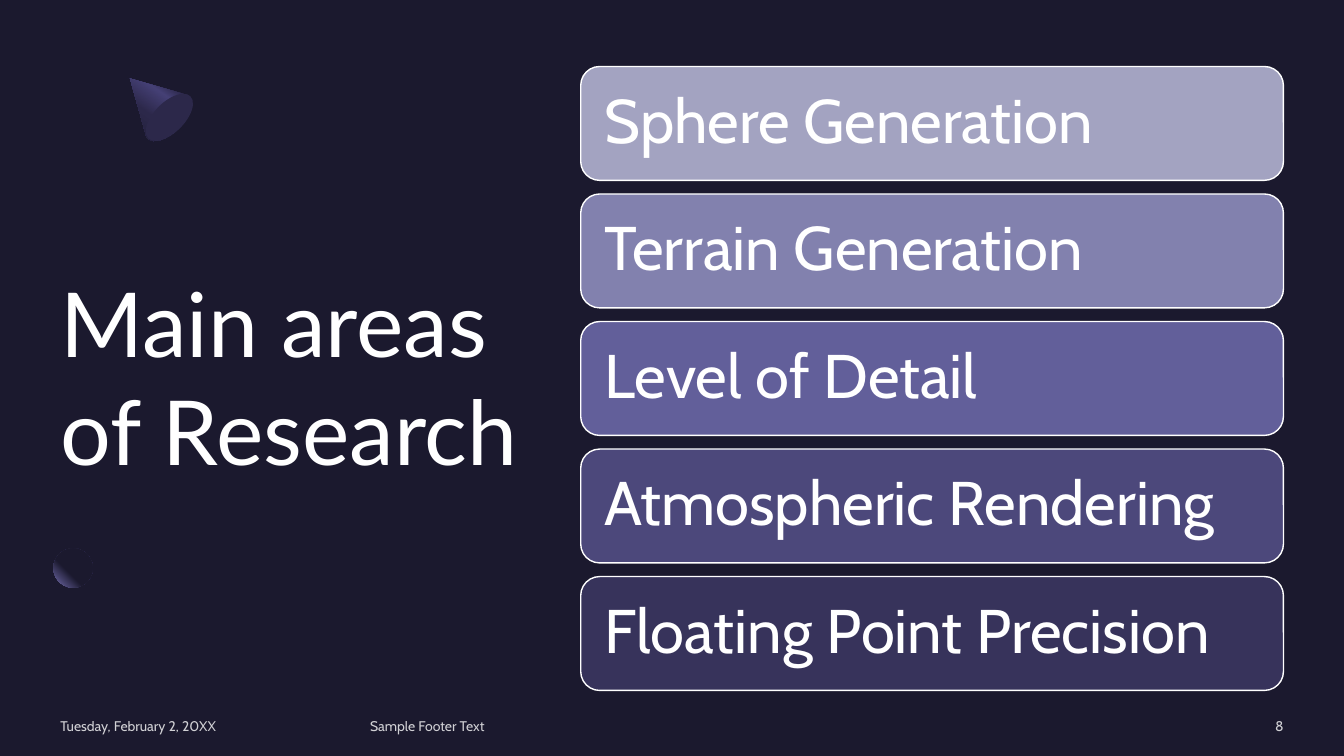
from math import cos, radians, sin

from lxml import etree
from pptx import Presentation
from pptx.dml.color import RGBColor
from pptx.enum.shapes import MSO_SHAPE as Preset
from pptx.enum.text import MSO_ANCHOR as Anchor, MSO_AUTO_SIZE as AutoSize, PP_ALIGN as Align
from pptx.oxml import parse_xml
from pptx.oxml.ns import nsdecls, qn
from pptx.util import Inches, Pt

NIGHT = RGBColor(0x1B, 0x19, 0x2E)
DUSK = RGBColor(0x2C, 0x28, 0x4A)
VIOLET = RGBColor(0x45, 0x40, 0x75)
LILAC = RGBColor(0x77, 0x71, 0xB2)
WHITE = RGBColor(0xFF, 0xFF, 0xFF)

TITLE = "Main areas of Research"
AREAS = [
    ("Sphere Generation", RGBColor(0xA3, 0xA3, 0xC1)),
    ("Terrain Generation", RGBColor(0x82, 0x81, 0xAE)),
    ("Level of Detail", RGBColor(0x62, 0x5F, 0x9A)),
    ("Atmospheric Rendering", RGBColor(0x4C, 0x48, 0x7B)),
    ("Floating Point Precision", RGBColor(0x37, 0x33, 0x5B)),
]
FOOTERS = [
    ("Tuesday, February 2, 20XX", 0.6, 2.88, Align.LEFT),
    ("Sample Footer Text", 3.67, 6.98, Align.LEFT),
    ("8", 10.88, 1.85, Align.RIGHT),
]
CONE = [
    [(1.29, 0.78)], [(1.85, 0.94)], [(1.86, 0.94)],
    [(1.87, 0.95), (1.88, 0.95), (1.88, 0.96)],
    [(1.94, 1.02), (1.89, 1.16), (1.78, 1.27)],
    [(1.66, 1.39), (1.52, 1.43), (1.47, 1.38)],
    [(1.46, 1.37), (1.45, 1.36), (1.45, 1.35)],
]
RING_SHADE = [
    [(4.85, 6.16)], [(5.11, 6.16), (5.37, 6.26), (5.57, 6.46)], [(5.21, 6.81)],
    [(5.01, 6.62), (4.69, 6.62), (4.49, 6.81)],
    [(4.32, 6.99), (4.3, 7.25), (4.43, 7.45)], [(4.47, 7.5)], [(3.89, 7.5)], [(3.88, 7.46)],
    [(3.78, 7.12), (3.86, 6.73), (4.13, 6.46)], [(4.33, 6.26), (4.59, 6.16), (4.85, 6.16)],
]
RING_GLOW = [
    [(4.8, 6.21)], [(5.11, 6.19), (5.43, 6.32), (5.68, 6.57)], [(5.33, 6.93)],
    [(5.1, 6.7), (4.76, 6.68), (4.56, 6.88)],
    [(4.42, 7.03), (4.39, 7.26), (4.48, 7.46)], [(4.5, 7.5)], [(3.94, 7.5)], [(3.92, 7.43)],
    [(3.84, 7.08), (3.91, 6.72), (4.16, 6.48)], [(4.33, 6.3), (4.56, 6.21), (4.8, 6.21)],
]

BAR_LEFT, BAR_TOP, BAR_WIDTH, BAR_HEIGHT = 5.76, 0.66, 6.97, 1.13
BAR_STEP = 1.265
TILT = 45
CURVE_STEPS = 8
SOFT_RADIUS = Pt(20)
LINEAR = '<a:lin ang="10200000" scaled="0"/>'
CORNER = '<a:path path="circle"><a:fillToRect l="100000" b="100000"/></a:path>'


def set_gradient(shape, stops, direction):
    """Fill a shape with (percent, colour) stops."""
    marks = "".join(
        f'<a:gs pos="{percent * 1000}"><a:srgbClr val="{colour}"/></a:gs>'
        for percent, colour in stops)
    shape.fill.background()
    blank = shape.element.spPr.find(qn("a:noFill"))
    blank.getparent().replace(blank, parse_xml(
        f'<a:gradFill {nsdecls("a")} rotWithShape="1"><a:gsLst>{marks}</a:gsLst>'
        f'{direction}</a:gradFill>'))


def set_solid(shape, colour):
    """Fill a shape with one colour."""
    shape.fill.solid()
    shape.fill.fore_color.rgb = colour


def set_alpha(shape, percent):
    """Make the first colour of a shape partly transparent."""
    colour = shape.element.find(".//" + qn("a:srgbClr"))
    etree.SubElement(colour, qn("a:alpha"), val=str(percent * 1000))


def make_plain(shape):
    """Remove the shadow and the outline."""
    shape.shadow.inherit = False
    shape.line.fill.background()
    return shape


def add_preset(page, preset, place):
    """Add a plain preset shape."""
    return make_plain(page.shapes.add_shape(preset, *map(Inches, place)))


def flatten(outline):
    """Turn line and curve segments into points."""
    points = list(outline[0])
    for segment in outline[1:]:
        if len(segment) == 1:
            points += segment
            continue
        corners = [points[-1], *segment]
        for step in range(1, CURVE_STEPS + 1):
            t = step / CURVE_STEPS
            weights = ((1 - t) ** 3, 3 * t * (1 - t) ** 2, 3 * t * t * (1 - t), t ** 3)
            points.append(tuple(
                sum(weight * corner[axis] for weight, corner in zip(weights, corners))
                for axis in (0, 1)))
    return points


def add_tilted(page, outline, centre):
    """Add an outline as a freeform turned back by the tilt."""
    c, s = cos(radians(TILT)), sin(radians(TILT))
    x0, y0 = centre
    points = [(Inches(x0 + (x - x0) * c - (y - y0) * s),
               Inches(y0 + (x - x0) * s + (y - y0) * c)) for x, y in flatten(outline)]
    builder = page.shapes.build_freeform(*points[0])
    builder.add_line_segments(points[1:])
    shape = make_plain(builder.convert_to_shape())
    shape.rotation = 360 - TILT
    return shape


def write(shape, text, font, size, margin=0, align=Align.LEFT):
    """Set one white paragraph, centred vertically."""
    frame = shape.text_frame
    frame.text = text
    frame.word_wrap = True
    frame.auto_size = AutoSize.NONE
    frame.vertical_anchor = Anchor.MIDDLE
    frame.margin_left = frame.margin_right = Inches(margin)
    frame.margin_top = frame.margin_bottom = 0
    para = frame.paragraphs[0]
    para.alignment = align
    font_style = para.runs[0].font
    font_style.name = font
    font_style.size = Pt(size)
    font_style.color.rgb = WHITE
    return para


def add_decorations(page):
    """Draw the cone, the small sphere and the soft ring."""
    cone = add_tilted(page, CONE, (1.535, 1.025))
    set_gradient(cone, [(30, DUSK), (40, VIOLET), (60, DUSK), (100, NIGHT)], LINEAR)
    base = add_preset(page, Preset.OVAL, (1.53, 0.87, 0.3, 0.59))
    base.rotation = TILT
    set_solid(base, DUSK)

    sphere = add_preset(page, Preset.OVAL, (0.53, 5.44, 0.39, 0.39))
    set_gradient(sphere, [(60, NIGHT), (100, LILAC)], CORNER)

    set_solid(add_tilted(page, RING_SHADE, (4.53, 6.775)), NIGHT)
    glow = add_tilted(page, RING_GLOW, (4.615, 6.83))
    set_solid(glow, LILAC)
    set_alpha(glow, 40)
    effects = glow.element.spPr.find(qn("a:effectLst"))
    etree.SubElement(effects, qn("a:softEdge"), rad=str(SOFT_RADIUS))
    ring_end = add_preset(page, Preset.OVAL, (5.33, 6.38, 0.12, 0.51))
    ring_end.rotation = TILT
    set_solid(ring_end, NIGHT)


def add_areas(page):
    """Stack one rounded bar for each research area."""
    for row, (area, colour) in enumerate(AREAS):
        top = BAR_TOP + row * BAR_STEP
        bar = add_preset(page, Preset.ROUNDED_RECTANGLE, (BAR_LEFT, top, BAR_WIDTH, BAR_HEIGHT))
        set_solid(bar, colour)
        bar.line.color.rgb = WHITE
        bar.line.width = Pt(1)
        write(bar, area, "Cabin", 44, margin=0.18).line_spacing = 0.9


def add_footers(page):
    """Place the date, footer and page number in faded white."""
    for text, left, width, align in FOOTERS:
        box = page.shapes.add_textbox(*map(Inches, (left, 7.12, width, 0.17)))
        write(box, text, "Cabin", 10, align=align)
        set_alpha(box, 80)


def main():
    """Build the research areas slide."""
    deck = Presentation()
    deck.slide_width, deck.slide_height = Inches(13.33), Inches(7.5)
    page = deck.slides.add_slide(deck.slide_layouts[5])
    set_solid(page.background, NIGHT)
    backdrop = add_preset(page, Preset.RECTANGLE, (0, 0, 13.33, 7.5))
    set_solid(backdrop, NIGHT)

    title = page.shapes.title
    backdrop.element.addnext(title.element)
    title.left, title.top, title.width, title.height = map(Inches, (0.6, 1.66, 4.96, 4.13))
    write(title, TITLE, "Lato", 64)
    add_decorations(page)
    add_areas(page)
    add_footers(page)
    deck.save("out.pptx")


if __name__ == "__main__":
    main()
